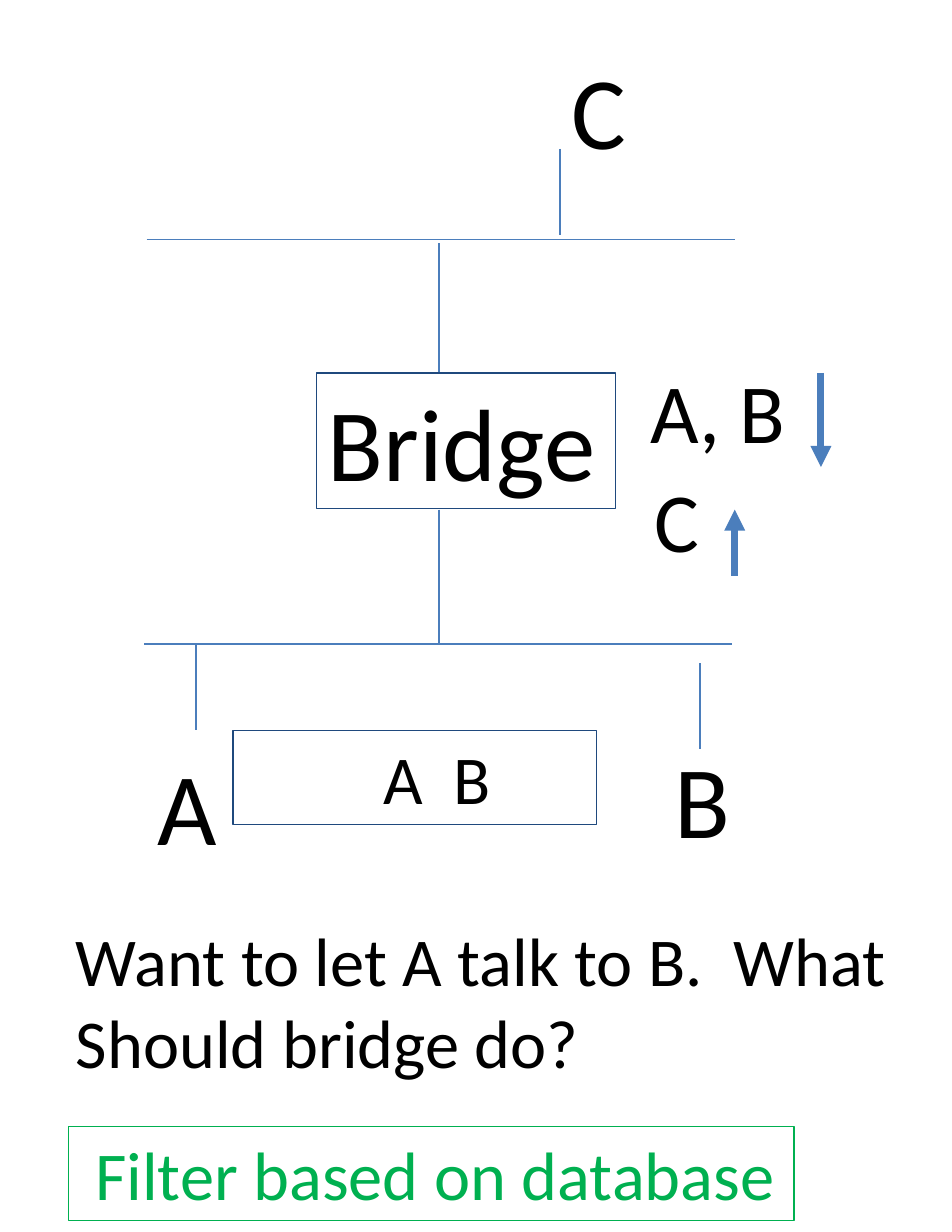
from lxml import etree
from pptx import Presentation
from pptx.dml.color import RGBColor
from pptx.enum import shapes, text
from pptx.oxml import ns
from pptx.util import Inches, Pt

WIDE, HIGH = 8.5, 11
BLUE, NAVY, GREEN, BLACK = "4B7EBC", "1F497D", "00B050", "000000"
FONT = "Calibri"
BUS, STUB, MID = 5.25, 0.77, 3.92
TOP, BASE = 2.14, 5.75
HEAD, FOOT = 3.33, 4.55
PAD = 0.1

WIRES = [
    (MID, FOOT, MID, BASE),
    (MID, HEAD, MID, TOP + 0.03),
    (1.31, TOP, 1.31 + BUS, TOP),
    (1.29, BASE, 1.29 + BUS, BASE),
    (1.75, BASE, 1.75, BASE + STUB),
    (6.25, 5.92, 6.25, 5.92 + STUB),
    (5, 1.33, 5, 1.33 + STUB),
]
ARROWS = [(7.33, HEAD, 7.33, 4.17), (6.56, 5.14, 6.56, FOOT)]

HOST, PORT = (1.25, 1.21), (1.63, 1.01)
LABELS = [
    (["B"], 66, (5.92, 6.52, *HOST), True),
    (["C"], 66, (5, 0.37, *HOST), True),
    (["A"], 66, (1.31, 6.58, *HOST), True),
    (["A, B"], 54, (5.71, 3.16, *PORT), True),
    (["C"], 54, (5.75, 4.13, *PORT), True),
    (["Want to let A talk to B.  What", "Should bridge do?"], 44,
     (0.58, 8.15, 7.52, 1.58), False),
]
BOXES = [
    ("Bridge", 66, (2.83, HEAD, 2.67, 1.21), NAVY, BLACK, 0, True),
    ("A  B", 44, (2.08, 6.52, 3.25, 0.84), NAVY, BLACK, 1.24, True),
    ("Filter based on database", 44, (0.61, 10.06, 6.48, 0.84), GREEN, GREEN, 0.14, False),
]


def paint(hue):
    return RGBColor.from_string(hue)


def place(spot):
    return [Inches(n) for n in spot]


def write(shape, lines, size, hue=BLACK, inset=0, wrap=True):
    frame = shape.text_frame
    look = {
        "word_wrap": wrap,
        "vertical_anchor": text.MSO_ANCHOR.TOP,
        "margin_left": Inches(PAD + inset),
    }
    for key, val in look.items():
        setattr(frame, key, val)
    for i, line in enumerate(lines):
        para = frame.add_paragraph() if i else frame.paragraphs[0]
        para.alignment = text.PP_ALIGN.LEFT
        run = para.add_run()
        run.text = line
        for key, val in {"name": FONT, "size": Pt(size)}.items():
            setattr(run.font, key, val)
        run.font.color.rgb = paint(hue)


def link(slide, ends, width, tip=False):
    wire = slide.shapes.add_connector(shapes.MSO_CONNECTOR.STRAIGHT, *place(ends))
    wire.line.color.rgb = paint(BLUE)
    wire.line.width = Pt(width)
    if tip:
        etree.SubElement(wire.line._get_or_add_ln(), ns.qn("a:tailEnd"), type="triangle")
    etree.SubElement(wire._element.spPr, ns.qn("a:effectLst"))


def main():
    deck = Presentation()
    deck.slide_width, deck.slide_height = place((WIDE, HIGH))
    slide = deck.slides.add_slide(deck.slide_layouts[6])
    for ends in WIRES:
        link(slide, ends, 0.75)
    for ends in ARROWS:
        link(slide, ends, 4.5, True)
    for lines, size, spot, wrap in LABELS:
        write(slide.shapes.add_textbox(*place(spot)), lines, size, wrap=wrap)
    for line, size, spot, edge, hue, inset, wrap in BOXES:
        box = slide.shapes.add_shape(shapes.MSO_SHAPE.RECTANGLE, *place(spot))
        box.shadow.inherit = False
        box.fill.background()
        box.line.color.rgb = paint(edge)
        box.line.width = Pt(0.75)
        write(box, [line], size, hue, inset, wrap)
    deck.save("out.pptx")


if __name__ == "__main__":
    main()
